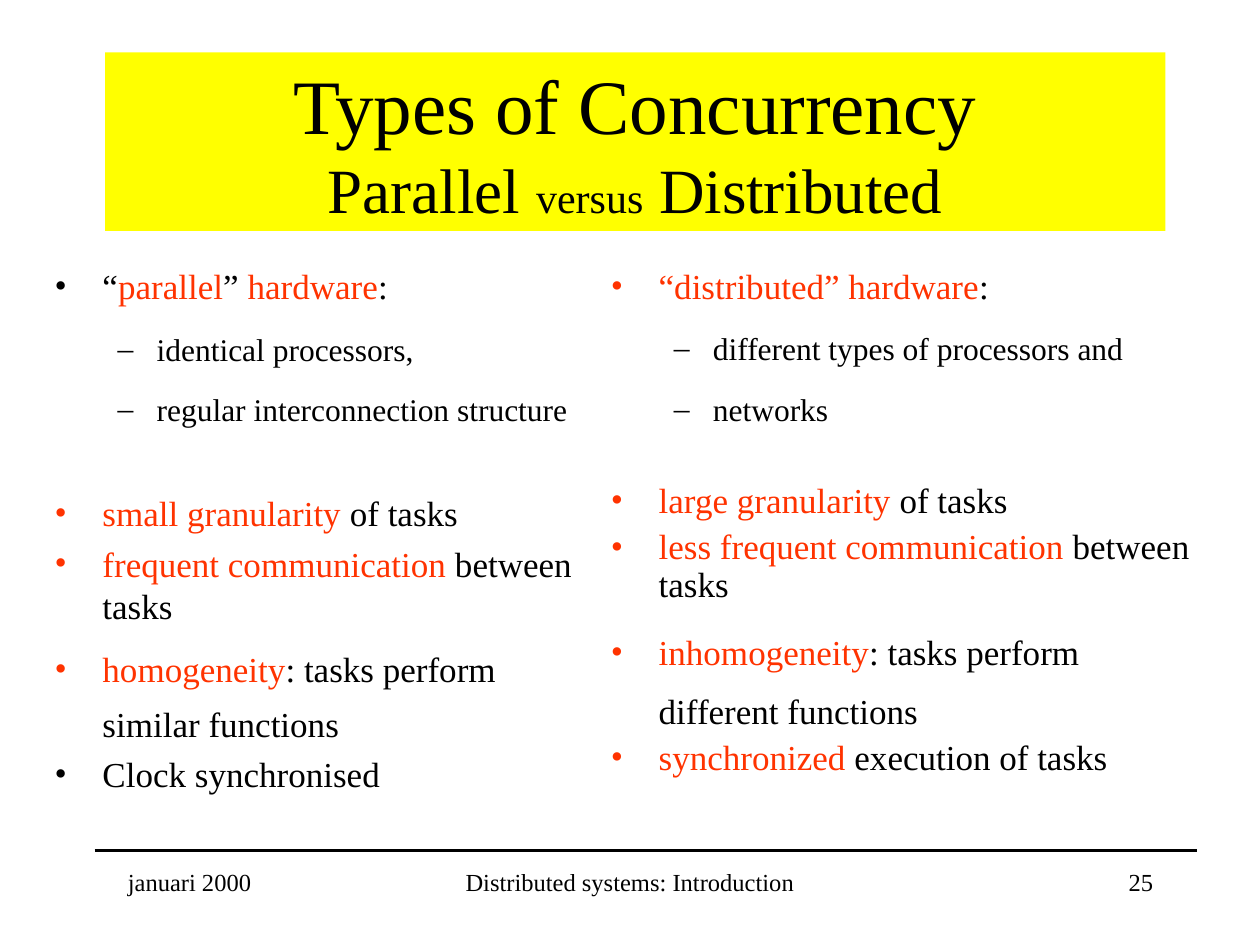
from lxml import etree
from pptx import Presentation
from pptx import util as u
from pptx.dml.color import RGBColor
from pptx.enum import shapes, text
from pptx.oxml.ns import qn

COLORS = {"black": "000000", "red": "FF3300", "yellow": "FFFF00", "white": "FFFFFF"}
FONT = "Times New Roman"

presentation = Presentation()
presentation.slide_width, presentation.slide_height = u.Inches(10), u.Inches(7.5)
CELL = presentation.slide_width // 120  # grid of 120 columns by 90 rows
slide = presentation.slides.add_slide(presentation.slide_layouts[1])


def style(run, size, color="black"):
    run.font.name, run.font.size = FONT, u.Pt(size)
    run.font.color.rgb = RGBColor.from_string(COLORS[color])


def fill_list(frame, items):
    """Write (level, line spacing, content) items; *asterisks* enclose red words."""
    frame.word_wrap, frame.auto_size = True, text.MSO_AUTO_SIZE.NONE
    frame.vertical_anchor = text.MSO_ANCHOR.TOP
    for index, (level, spacing, content) in enumerate(items):
        paragraph = frame.add_paragraph() if index else frame.paragraphs[0]
        left, hanging, size, space, mark = LEVELS[level]
        properties = paragraph._p.get_or_add_pPr()
        properties.set("marL", str(u.Inches(left)))
        properties.set("indent", str(-u.Inches(hanging)))
        bullet_color = etree.SubElement(properties, qn("a:buClr"))
        bullet_hex = COLORS["red" if content.startswith("*") else "black"]
        etree.SubElement(bullet_color, qn("a:srgbClr"), val=bullet_hex)
        etree.SubElement(properties, qn("a:buFont"), typeface=FONT)
        etree.SubElement(properties, qn("a:buChar"), char=mark)
        paragraph.level, paragraph.line_spacing = level, spacing
        paragraph.alignment = text.PP_ALIGN.LEFT
        paragraph.space_before = u.Pt(space if index else 0)
        for part, words in enumerate(content.split("*")):
            if words:
                run = paragraph.add_run()
                run.text = words
                style(run, size, "red" if part % 2 else "black")


# Level: left margin, hanging indent, text size, space before, bullet
LEVELS = [(0.38, 0.38, 20, 5, "•"), (0.81, 0.31, 18, 4.5, "–")]

# Title on a yellow band
title = slide.shapes.title
title.left, title.top, title.width, title.height = 10 * CELL, 5 * CELL, 101 * CELL, 17 * CELL
title.fill.solid()
title.fill.fore_color.rgb = RGBColor.from_string(COLORS["yellow"])
title.text_frame.auto_size = text.MSO_AUTO_SIZE.NONE
title.text_frame.vertical_anchor = text.MSO_ANCHOR.MIDDLE
paragraph = title.text_frame.paragraphs[0]
paragraph.text = "Types of Concurrency\v"
paragraph.alignment = text.PP_ALIGN.CENTER
style(paragraph.runs[0], 44)
for words, size in [("Parallel ", 36), ("versus", 24), (" Distributed", 36)]:
    run = paragraph.add_run()
    run.text = words
    style(run, size)

# Left column: parallel
parallel = slide.placeholders[1]
parallel.left, parallel.top, parallel.width, parallel.height = 4 * CELL, 23 * CELL, 54 * CELL, 57 * CELL
fill_list(parallel.text_frame, [
    (0, 1.4, "“*parallel*” *hardware*:"),
    (1, 1.4, "identical processors,"),
    (1, 1.4, "regular interconnection structure"),
    (0, 2.3, "*small granularity* of tasks"),
    (0, 1.0, "*frequent communication* between tasks"),
    (0, 1.3, "*homogeneity*: tasks perform similar functions"),
    (0, 1.0, "Clock synchronised"),
])

# Right column: distributed
distributed = slide.shapes.add_shape(
    shapes.MSO_SHAPE.RECTANGLE, 57 * CELL, 23 * CELL, 59 * CELL, 57 * CELL)
distributed.shadow.inherit = False
distributed.fill.background()
distributed.line.color.rgb = RGBColor.from_string(COLORS["white"])
distributed.line.width = u.Pt(0.75)
fill_list(distributed.text_frame, [
    (0, 1.4, "*“distributed” hardware*:"),
    (1, 1.4, "different types of processors and"),
    (1, 1.4, "networks"),
    (0, 2.0, "*large granularity* of tasks"),
    (0, 0.9, "*less frequent communication* between tasks"),
    (0, 1.4, "*inhomogeneity*: tasks perform different functions"),
    (0, 0.9, "*synchronized* execution of tasks"),
])

# Footer rule
rule = slide.shapes.add_connector(
    shapes.MSO_CONNECTOR.STRAIGHT, 9 * CELL, 81 * CELL, 114 * CELL, 81 * CELL)
rule.line.color.rgb = RGBColor.from_string(COLORS["black"])
rule.line.width = u.Pt(1.5)
etree.SubElement(rule._element.spPr, qn("a:effectLst"))

# Footer texts: date, lecture, page number
for left, width, words, alignment in [
    (11, 25, "januari 2000", text.PP_ALIGN.LEFT),
    (41, 38, "Distributed systems: Introduction", text.PP_ALIGN.CENTER),
    (86, 25, "25", text.PP_ALIGN.RIGHT),
]:
    footer = slide.shapes.add_textbox(left * CELL, 82 * CELL, width * CELL, 6 * CELL)
    footer.text_frame.word_wrap = True
    paragraph = footer.text_frame.paragraphs[0]
    paragraph.text = words
    paragraph.alignment = alignment
    style(paragraph.runs[0], 14)

presentation.save("out.pptx")
